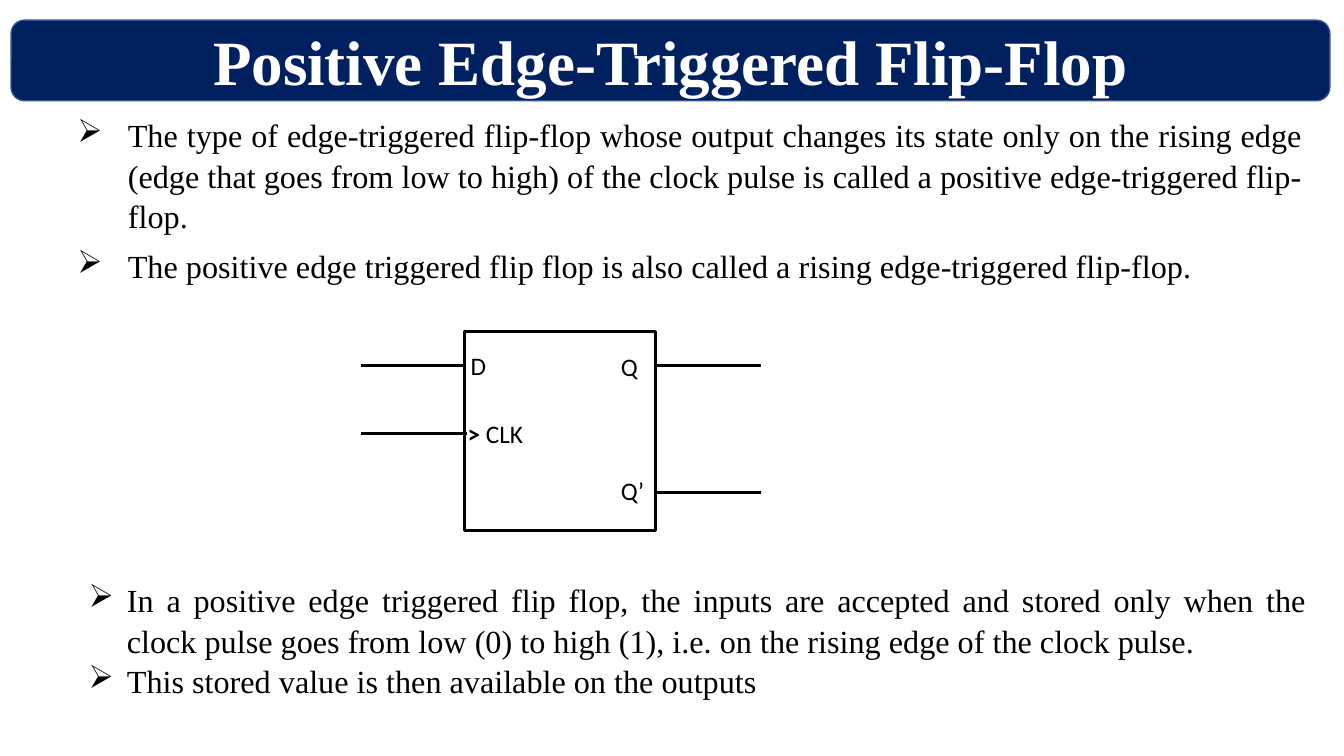
import pptx
import pptx.util
import pptx.dml.color
import pptx.enum.shapes
import pptx.enum.text
import pptx.oxml.ns
import lxml.etree

Inches = pptx.util.Inches
Pt = pptx.util.Pt
ALIGN = pptx.enum.text.PP_ALIGN
SHAPES = pptx.enum.shapes.MSO_SHAPE

COLORS = {"navy": "002060", "border": "325491", "black": "000000", "white": "FFFFFF"}
COLORS = {name: pptx.dml.color.RGBColor.from_string(value) for name, value in COLORS.items()}
SERIF = "Times New Roman"


def write(frame, paragraphs, size=18, font="Calibri", color="black", bold=False,
          align=ALIGN.LEFT, before=0, spacing=None, indent=0):
    """Each paragraph is a string or a list of (text, bold) pairs; an indent adds bullets."""
    frame.word_wrap = True
    for index, content in enumerate(paragraphs):
        para = frame.paragraphs[0] if index == 0 else frame.add_paragraph()
        para.alignment = align
        para.space_before = Pt(before)
        para.line_spacing = spacing
        if indent:
            properties = para._p.get_or_add_pPr()
            properties.set("marL", str(Inches(indent)))
            properties.set("indent", str(-Inches(indent)))
            bullet = lxml.etree.SubElement(properties, pptx.oxml.ns.qn("a:buChar"))
            bullet.set("char", "➢")
        spans = [(content, bold)] if isinstance(content, str) else content
        for text, heavy in spans:
            span = para.add_run()
            span.text = text
            span.font.size = Pt(size)
            span.font.name = font
            span.font.bold = heavy
            span.font.color.rgb = COLORS[color]


def add_block(shapes, kind, place, fill, line, width):
    block = shapes.add_shape(kind, *map(Inches, place))
    block.shadow.inherit = False
    block.fill.solid()
    block.fill.fore_color.rgb = COLORS[fill]
    block.line.color.rgb = COLORS[line]
    block.line.width = Pt(width)
    return block


deck = pptx.Presentation()
deck.slide_width, deck.slide_height = Inches(13.33), Inches(7.5)
slide = deck.slides.add_slide(deck.slide_layouts[6])

# Title bar
title = add_block(slide.shapes, SHAPES.ROUNDED_RECTANGLE, (0.11, 0.2, 13.08, 0.8),
                  "navy", "border", 1)
title.text_frame.vertical_anchor = pptx.enum.text.MSO_ANCHOR.MIDDLE
write(title.text_frame, ["Positive Edge-Triggered Flip-Flop"], size=45, font=SERIF,
      color="white", bold=True, align=ALIGN.CENTER)

# Bulleted text above and below the diagram
bullet_boxes = [
    ((0.67, 1.08, 12.36, 1.73), 0.5, 6.4, [
        "The type of edge-triggered flip-flop whose output changes its state only on the "
        "rising edge (edge that goes from low to high) of the clock pulse is called a "
        "positive edge-triggered flip-flop.",
        "The positive edge triggered flip flop is also called a rising edge-triggered "
        "flip-flop."]),
    ((0.78, 5.69, 12.29, 1.26), 0.38, 0, [
        "In a positive edge triggered flip flop, the inputs are accepted and stored only "
        "when the clock pulse goes from low (0) to high (1), i.e. on the rising edge of "
        "the clock pulse.",
        "This stored value is then available on the outputs"]),
]
for place, indent, before, paragraphs in bullet_boxes:
    box = slide.shapes.add_textbox(*map(Inches, place))
    write(box.text_frame, paragraphs, size=23, font=SERIF, align=ALIGN.JUSTIFY,
          before=before, spacing=1.05, indent=indent)

# Flip-flop symbol: body, leads and pin labels
symbol = slide.shapes.add_group_shape().shapes
add_block(symbol, SHAPES.RECTANGLE, (4.61, 3.29, 1.89, 1.97), "white", "black", 2)

for start, end, y in [(3.58, 4.61, 3.63), (3.58, 4.63, 4.3), (6.5, 7.55, 3.63), (6.5, 7.55, 4.89)]:
    lead = symbol.add_connector(pptx.enum.shapes.MSO_CONNECTOR.STRAIGHT,
                                Inches(start), Inches(y), Inches(end), Inches(y))
    lead.line.color.rgb = COLORS["black"]
    lead.line.width = Pt(2)
    lxml.etree.SubElement(lead._element.spPr, pptx.oxml.ns.qn("a:effectLst"))

pins = [("D", 4.57, 3.43), ("Q", 6.06, 3.44), ("Q’", 6.06, 4.67),
        ([("˃", True), (" CLK", False)], 4.54, 4.1)]
for label, x, y in pins:
    box = symbol.add_textbox(Inches(x), Inches(y), Inches(0.82), Inches(0.4))
    write(box.text_frame, [label])

deck.save("out.pptx")
